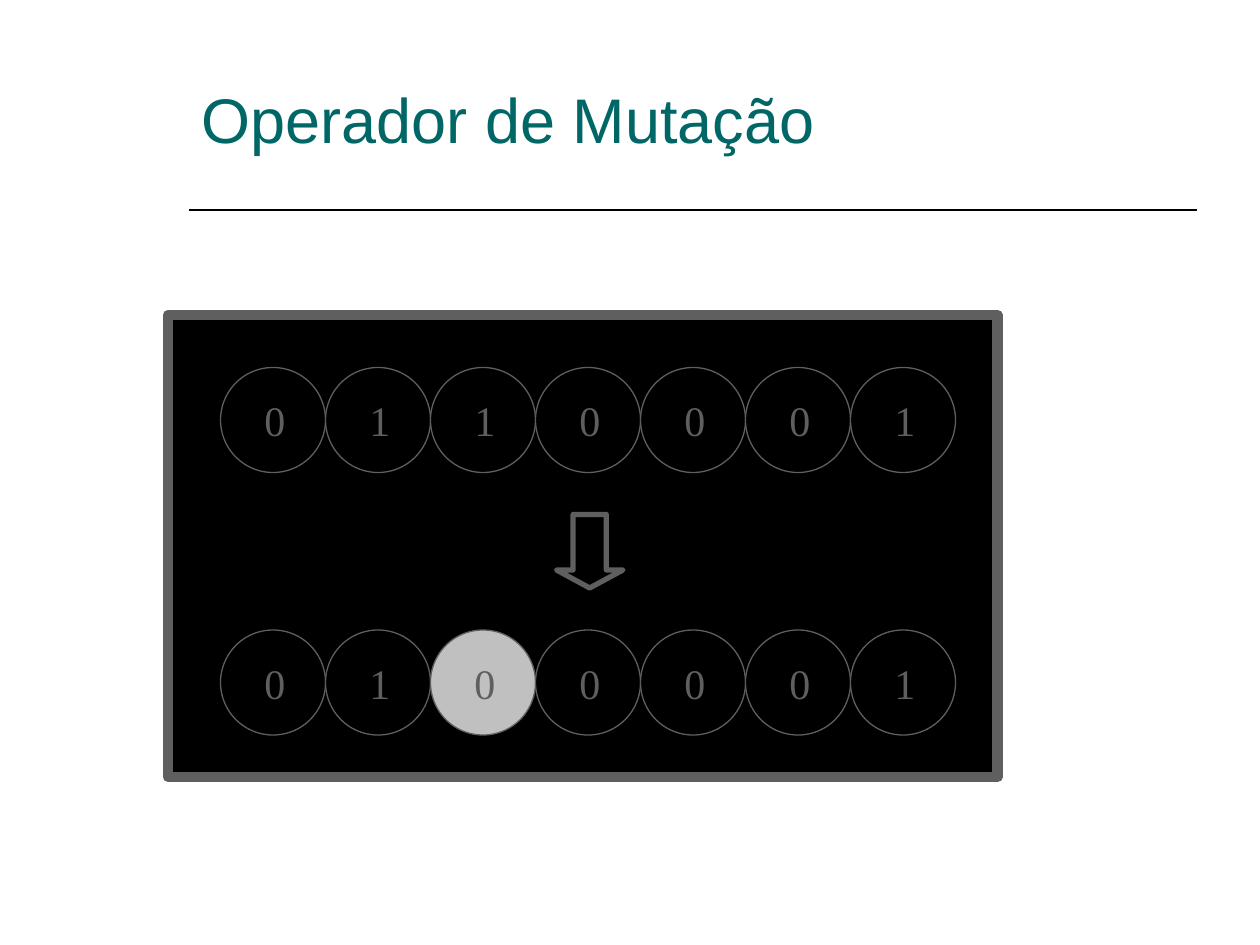
from dataclasses import dataclass

from lxml.etree import SubElement
from pptx import Presentation
from pptx.dml.color import RGBColor
from pptx.enum.shapes import MSO_CONNECTOR, MSO_SHAPE
from pptx.enum.text import MSO_ANCHOR, MSO_AUTO_SIZE, PP_ALIGN
from pptx.oxml.ns import qn
from pptx.util import Pt


@dataclass(frozen=True)
class Theme:
    teal: str = "006666"
    black: str = "000000"
    gray: str = "5F5F5F"
    silver: str = "C0C0C0"
    head: tuple = ("Arial", 36)
    digit: tuple = ("Times New Roman", 24)


class Board:
    """Draws on one slide; all lengths are in points."""

    def __init__(self, slide, theme):
        self.slide = slide
        self.theme = theme

    def style(self, para, font, color, align):
        para.alignment = align
        para.font.name, size = font
        para.font.size = Pt(size)
        para.font.color.rgb = RGBColor.from_string(color)

    def title(self, text, x, y, w, h):
        box = self.slide.shapes.title
        box.left, box.top, box.width, box.height = map(Pt, (x, y, w, h))
        frame = box.text_frame
        frame.text = text
        frame.auto_size = MSO_AUTO_SIZE.NONE
        frame.vertical_anchor = MSO_ANCHOR.BOTTOM
        self.style(frame.paragraphs[0], self.theme.head, self.theme.teal,
                   PP_ALIGN.LEFT)

    def rule(self, x, y, end):
        line = self.slide.shapes.add_connector(
            MSO_CONNECTOR.STRAIGHT, Pt(x), Pt(y), Pt(end), Pt(y))
        line.line.width = Pt(1)
        line.line.color.rgb = RGBColor.from_string(self.theme.black)
        SubElement(line._element.spPr, qn("a:effectLst"))

    def shape(self, kind, x, y, w, h, fill, width=0):
        """Add a filled shape, outlined in gray when width is given."""
        item = self.slide.shapes.add_shape(kind, *map(Pt, (x, y, w, h)))
        item.shadow.inherit = False
        item.fill.solid()
        item.fill.fore_color.rgb = RGBColor.from_string(fill)
        if width:
            item.line.width = Pt(width)
            item.line.color.rgb = RGBColor.from_string(self.theme.gray)
        else:
            item.line.fill.background()
        return item

    def gene(self, bit, x, y, size, fill):
        self.shape(MSO_SHAPE.OVAL, x, y, size, size, fill, 0.75)
        w, h = 24, 36
        label = self.shape(MSO_SHAPE.RECTANGLE, x + (size - w) / 2,
                           y + (size - h) / 2, w, h, fill)
        frame = label.text_frame
        frame.text = bit
        frame.word_wrap = True
        frame.vertical_anchor = MSO_ANCHOR.TOP
        self.style(frame.paragraphs[0], self.theme.digit, self.theme.gray,
                   PP_ALIGN.CENTER)

    def genes(self, bits, x, y, mutant=None):
        """Draw a row of touching genes, with the mutant index in silver."""
        size = 60
        for i, bit in enumerate(bits):
            fill = self.theme.silver if i == mutant else self.theme.black
            self.gene(bit, x + i * size, y, size, fill)

    def arrow(self, x, y, w, h):
        item = self.shape(MSO_SHAPE.DOWN_ARROW, x, y, w, h,
                          self.theme.black, 3)
        item.adjustments[0] = 0.5
        item.adjustments[1] = 0.27


def main():
    deck = Presentation()
    deck.slide_width, deck.slide_height = Pt(720), Pt(540)
    theme = Theme()
    board = Board(deck.slides.add_slide(deck.slide_layouts[5]), theme)

    board.title("Operador de Mutação", 108, 45, 576, 48)
    board.rule(108, 120, 684)
    board.shape(MSO_SHAPE.RECTANGLE, 96, 180, 474, 264, theme.black, 6)
    board.genes("0110001", 126, 210)
    board.genes("0100001", 126, 360, mutant=2)
    board.arrow(318, 294, 38, 42)
    deck.save("out.pptx")


if __name__ == "__main__":
    main()
